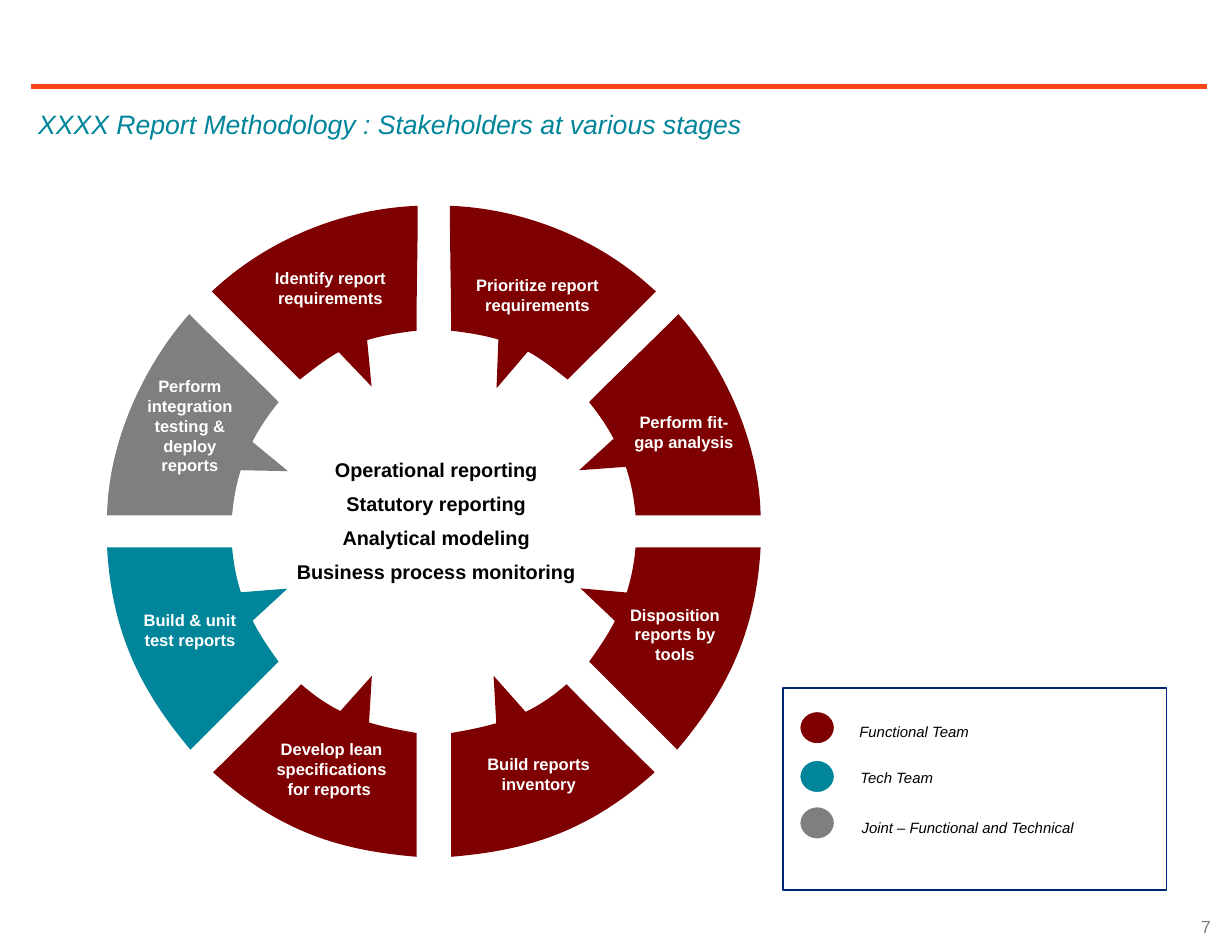
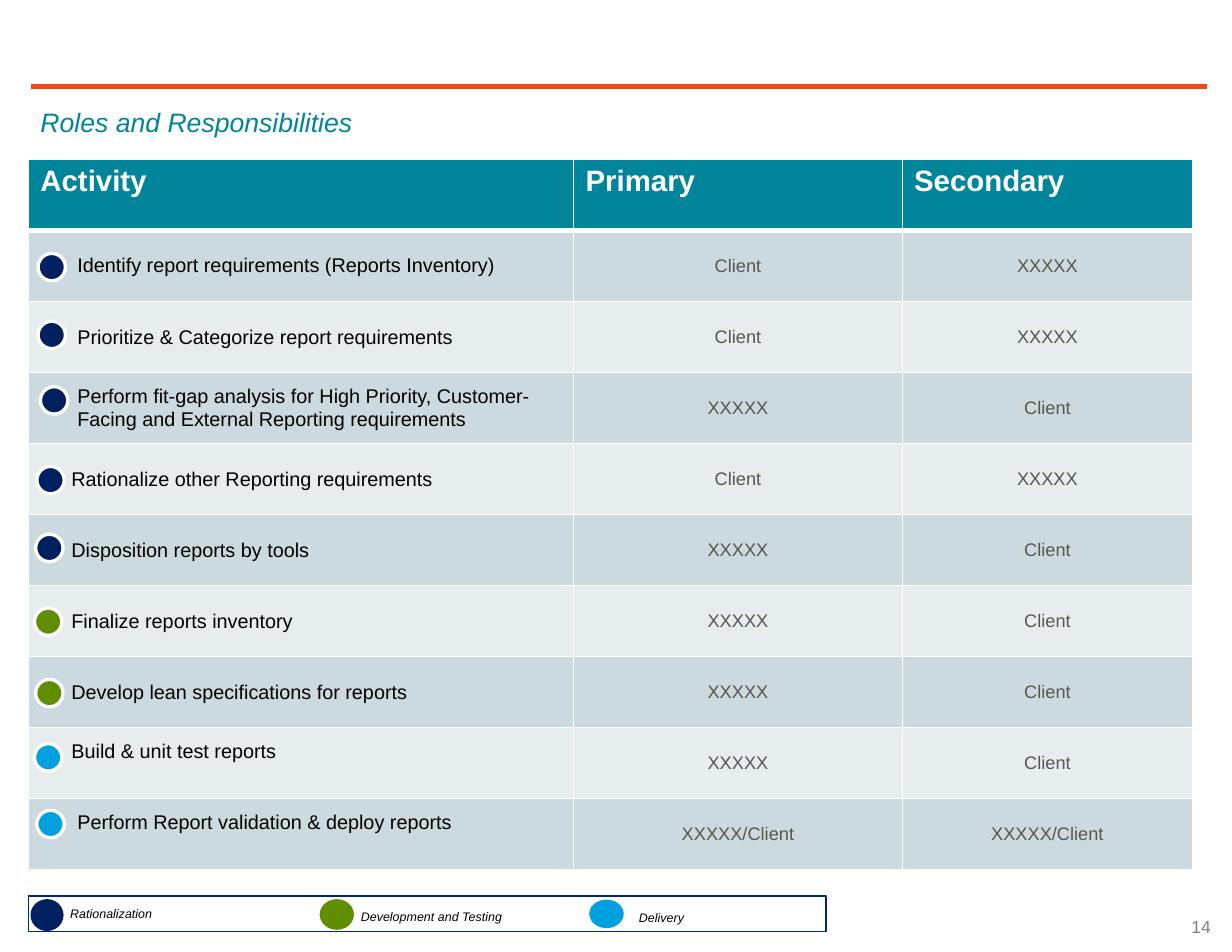
from lxml.etree import SubElement
from pptx import Presentation
from pptx.dml.color import RGBColor
from pptx.enum.shapes import MSO_CONNECTOR, MSO_SHAPE
from pptx.enum.text import MSO_ANCHOR as ANCHOR, MSO_AUTO_SIZE as AUTO, PP_ALIGN as ALIGN
from pptx.oxml.ns import qn
from pptx.util import Inches, Pt

FONT = "Arial"
TEAL = RGBColor(0x00, 0x85, 0x9B)
ORANGE = RGBColor(0xFA, 0x46, 0x16)
MAROON = RGBColor(0x7F, 0x00, 0x00)
GREY = RGBColor(0x7F, 0x7F, 0x7F)
PAGE_GREY = RGBColor(0x80, 0x80, 0x80)
CELL_GREY = RGBColor(0x57, 0x57, 0x4F)
NAVY = RGBColor(0x00, 0x20, 0x60)
FRAME_BLUE = RGBColor(0x00, 0x27, 0x76)
GREEN = RGBColor(0x61, 0x8D, 0x00)
SKY = RGBColor(0x00, 0xA1, 0xDE)
BAND_DARK = RGBColor(0xCC, 0xD9, 0xDE)
BAND_LIGHT = RGBColor(0xE7, 0xED, 0xEF)
WHITE = RGBColor(0xFF, 0xFF, 0xFF)
BLACK = RGBColor(0x00, 0x00, 0x00)

DEFAULT_INSET = (0.1, 0.05, 0.1, 0.05)
NO_INSET = (0, 0, 0, 0)
TITLE_ONLY = 5

# Right half of the wheel: outline start, then lines (x, y) and curves (three points).
SEGMENTS = [
    [(3.78, 1.73), (4.34, 1.75, 5, 1.97, 5.51, 2.45), (4.77, 3.19),
     (4.5, 2.98, 4.34, 2.84, 3.79, 2.78), (3.79, 2.43, 3.78, 2.08, 3.78, 1.73)],
    [(5.7, 2.64), (5.45, 2.89, 4.95, 3.37, 4.95, 3.38),
     (5.2, 3.69, 5.31, 3.98, 5.34, 4.33), (6.39, 4.33),
     (6.38, 3.71, 6.08, 3.07, 5.7, 2.64)],
    [(5.34, 4.6), (6.39, 4.6), (6.35, 5.37, 6.06, 5.86, 5.69, 6.3),
     (4.95, 5.56), (5.13, 5.31, 5.3, 5.05, 5.34, 4.6)],
    [(4.76, 5.75), (5, 6, 5.5, 6.49, 5.5, 6.49),
     (4.9, 7.03, 4.36, 7.15, 3.79, 7.2), (3.79, 6.16),
     (4.13, 6.1, 4.43, 6.04, 4.76, 5.75)],
]
MIRROR_SUM = 7.29  # x of a point plus x of its mirror image
RIGHT_COLORS = [MAROON] * 4
LEFT_COLORS = [MAROON, GREY, TEAL, MAROON]
POINTER_SIZE = (0.34, 0.49)
# Clockwise from the top right: left, top, rotation
POINTERS = [
    (4.09, 2.79, 201.3), (4.92, 3.61, 246.7), (4.93, 4.8, 294.3), (4.07, 5.66, 337.6),
    (2.86, 5.66, 22.6), (2.02, 4.8, 66.4), (2.02, 3.63, 110.3), (2.85, 2.78, 155.4),
]
STAGE_LABELS = [
    ("Identify report requirements", (2.21, 2.25, 1.13, 0.34)),
    ("Prioritize report requirements", (3.95, 2.31, 1.13, 0.34)),
    ("Perform fit-gap analysis", (5.32, 3.46, 0.85, 0.34)),
    ("Disposition reports by tools", (5.21, 5.08, 0.92, 0.5)),
    ("Build reports inventory", (3.96, 6.34, 1.13, 0.34)),
    ("Build & unit test reports", (1.15, 5.13, 0.89, 0.34)),
    ("Perform integration testing & deploy reports", (1.16, 3.16, 0.87, 0.84)),
    ("Develop lean specifications for reports ", (2.22, 6.21, 1.13, 0.5)),
]
REPORT_KINDS = ["Operational reporting", "Statutory reporting",
                "Analytical modeling", "Business process monitoring"]

# Activity, primary, secondary, text indent, phase colour, dot left, dot top
ACTIVITIES = [
    ("Identify report requirements (Reports Inventory)",
     "Client", "XXXXX", 0.37, NAVY, 0.32, 2.13),
    ("Prioritize & Categorize report requirements",
     "Client", "XXXXX", 0.37, NAVY, 0.32, 2.7),
    ("Perform fit-gap analysis for High Priority, Customer-Facing and "
     "External Reporting requirements", "XXXXX", "Client", 0.37, NAVY, 0.34, 3.25),
    ("Rationalize other Reporting requirements",
     "Client", "XXXXX", 0.32, NAVY, 0.31, 3.92),
    ("Disposition reports by tools", "XXXXX", "Client", 0.32, NAVY, 0.3, 4.49),
    ("Finalize reports inventory", "XXXXX", "Client", 0.32, GREEN, 0.29, 5.11),
    ("Develop lean specifications for reports",
     "XXXXX", "Client", 0.32, GREEN, 0.3, 5.71),
    ("Build & unit test reports", "XXXXX", "Client", 0.32, SKY, 0.29, 6.25),
    ("Perform Report validation & deploy reports",
     "XXXXX/Client", "XXXXX/Client", 0.37, SKY, 0.31, 6.81),
]
SPACED_ROWS = (1, 3)      # activity text has space before it
LOOSE_ROWS = (2, 4, 5, 6)  # activity text has wider lines
RAISED_ROWS = (8, 9)      # activity text sits above the middle


def inches(values):
    return [Inches(value) for value in values]


def add_run(paragraph, text, size, color, bold=False, italic=False):
    run = paragraph.add_run()
    run.text = text
    font = run.font
    font.name, font.size, font.bold, font.italic = FONT, Pt(size), bold, italic
    font.color.rgb = color


def set_insets(holder, inset):
    (holder.margin_left, holder.margin_top,
     holder.margin_right, holder.margin_bottom) = inches(inset)


def add_text(shapes, box, lines, size, color=BLACK, bold=False, italic=False,
             align=ALIGN.LEFT, anchor=ANCHOR.TOP, inset=NO_INSET,
             after=0, spacing=1.0, wrap=True):
    """Add a text box; one anchored at the top grows with its text."""
    frame = shapes.add_textbox(*inches(box)).text_frame
    frame.word_wrap = wrap
    frame.vertical_anchor = anchor
    frame.auto_size = AUTO.SHAPE_TO_FIT_TEXT if anchor == ANCHOR.TOP else AUTO.NONE
    set_insets(frame, inset)
    for index, line in enumerate(lines):
        paragraph = frame.add_paragraph() if index else frame.paragraphs[0]
        paragraph.alignment = align
        paragraph.space_after = Pt(after)
        paragraph.line_spacing = spacing
        add_run(paragraph, line, size, color, bold, italic)


def paint(shape, fill=None, line=None, width=1):
    shape.shadow.inherit = False
    if fill is None:
        shape.fill.background()
    else:
        shape.fill.solid()
        shape.fill.fore_color.rgb = fill
    if line is None:
        shape.line.fill.background()
    else:
        shape.line.color.rgb = line
        shape.line.width = Pt(width)


def add_preset(shapes, kind, box, fill=None, line=None, width=1):
    shape = shapes.add_shape(kind, *inches(box))
    paint(shape, fill, line, width)
    return shape


def add_dot(shapes, box, fill, line=WHITE):
    add_preset(shapes, MSO_SHAPE.OVAL, box, fill, line, 2)


def add_layout_rule(slide):
    """Draw the orange rule and move it to the layout that the slides share."""
    rule = slide.shapes.add_connector(
        MSO_CONNECTOR.STRAIGHT, *inches((0.26, 0.73, 10.14, 0.73)))
    rule.line.color.rgb = ORANGE
    rule.line.width = Pt(3)
    SubElement(rule._element.spPr, qn("a:effectLst"))
    rule._element.nvCxnSpPr.cNvPr.set("id", "20")
    slide.slide_layout.shapes.element.insert_element_before(rule._element, "p:extLst")


def add_page(prs, title_text, title_at, number):
    slide = prs.slides.add_slide(prs.slide_layouts[TITLE_ONLY])
    title = slide.shapes.title
    title.left, title.top, title.width, title.height = inches((*title_at, 9.88, 0.44))
    frame = title.text_frame
    frame.auto_size = AUTO.NONE
    frame.vertical_anchor = ANCHOR.TOP
    set_insets(frame, DEFAULT_INSET)
    heading = frame.paragraphs[0]
    heading.alignment = ALIGN.LEFT
    heading.line_spacing = 1.2
    add_run(heading, title_text, 16.1, TEAL, italic=True)

    add_text(slide.shapes, (7.94, 7.57, 2.33, 0.43), [number], 10.6, PAGE_GREY,
             align=ALIGN.RIGHT, anchor=ANCHOR.MIDDLE, inset=DEFAULT_INSET)
    return slide


def add_segment(shapes, outline, color, mirrored):
    """Draw an outline through all its points, then bend the triples into curves."""
    corners = []
    for piece in outline:
        for x, y in zip(piece[::2], piece[1::2]):
            corners.append(tuple(inches((MIRROR_SUM - x if mirrored else x, y))))
    builder = shapes.build_freeform(*corners[0], scale=1.0)
    builder.add_line_segments(corners[1:], close=True)
    segment = builder.convert_to_shape()
    lines = iter(segment._element.findall(".//" + qn("a:lnTo")))
    for piece in outline[1:]:
        first = next(lines)
        if len(piece) == 6:
            first.tag = qn("a:cubicBezTo")
            for line in (next(lines), next(lines)):
                first.append(line[0])
                line.getparent().remove(line)
    paint(segment, color)


def add_wheel(shapes):
    for colors, mirrored in ((RIGHT_COLORS, False), (LEFT_COLORS, True)):
        for outline, color in zip(SEGMENTS, colors):
            add_segment(shapes, outline, color, mirrored)
    for (x, y, turn), color in zip(POINTERS, RIGHT_COLORS + LEFT_COLORS[::-1]):
        pointer = add_preset(shapes, MSO_SHAPE.ISOSCELES_TRIANGLE,
                             (x, y, *POINTER_SIZE), color)
        pointer.rotation = turn
    add_text(shapes, (2.24, 3.85, 2.85, 1.06), REPORT_KINDS, 12, bold=True,
             align=ALIGN.CENTER, after=6)
    for label, box in STAGE_LABELS:
        add_text(shapes, box, [label], 10, WHITE, bold=True, align=ALIGN.CENTER)


def add_team_legend(slide):
    legend = slide.shapes.add_group_shape().shapes
    add_text(legend, (7.22, 6.07, 1.57, 0.14), ["Functional Team"], 9, italic=True,
             anchor=ANCHOR.MIDDLE, spacing=1.06)
    add_preset(legend, MSO_SHAPE.RECTANGLE, (6.58, 5.78, 3.22, 1.7), line=FRAME_BLUE)
    for team, box in (("Tech Team", (7.13, 6.4, 1.85, 0.15)),
                      ("Joint – Functional and Technical", (7.14, 6.82, 2.06, 0.15))):
        add_text(legend, box, [team], 9, italic=True, inset=DEFAULT_INSET, spacing=1.06)
    for color, top in ((TEAL, 6.38), (GREY, 6.77), (MAROON, 5.97)):
        add_dot(slide.shapes, (6.71, top, 0.31, 0.29), color)


def set_borders(cell, bottom_width):
    properties = cell._tc.get_or_add_tcPr()
    for side, width in (("L", 1), ("R", 1), ("T", 1), ("B", bottom_width)):
        border = SubElement(properties, qn(f"a:ln{side}"), w=str(Pt(width)))
        fill = SubElement(border, qn("a:solidFill"))
        SubElement(fill, qn("a:srgbClr"), val=str(WHITE))


def fill_cell(cell, text, size, color, fill, bold=False, bottom_width=1):
    set_borders(cell, bottom_width)
    cell.fill.solid()
    cell.fill.fore_color.rgb = fill
    paragraph = cell.text_frame.paragraphs[0]
    add_run(paragraph, text, size, color, bold)
    return paragraph


def add_roles_table(shapes):
    table = shapes.add_table(
        len(ACTIVITIES) + 1, 3, *inches((0.24, 1.34, 9.78, 5.97))).table
    for column, width in zip(table.columns, (4.58, 2.76, 2.44)):
        column.width = Inches(width)
    for index, heading in enumerate(("Activity", "Primary", "Secondary")):
        fill_cell(table.cell(0, index), heading, 17.8, WHITE, TEAL, True, 3)
    for row, (activity, *owners, indent, phase, dot_x, dot_y) in enumerate(ACTIVITIES, 1):
        band = BAND_DARK if row % 2 else BAND_LIGHT
        for column, text in enumerate((activity, *owners)):
            cell = table.cell(row, column)
            cell.vertical_anchor = ANCHOR.MIDDLE
            set_insets(cell, (0.04, 0, 0.04, 0))
            size, color = (11, CELL_GREY) if column else (12, BLACK)
            paragraph = fill_cell(cell, text, size, color, band)
            if column or row in SPACED_ROWS:
                paragraph.space_before = Pt(3)
            if column:
                paragraph.alignment = ALIGN.CENTER
                continue
            paragraph._p.get_or_add_pPr().set("marL", str(Inches(indent)))
            if row in LOOSE_ROWS:
                paragraph.line_spacing = 1.06
            if row in RAISED_ROWS:
                cell.margin_bottom = Inches(0.2)
        add_dot(shapes, (dot_x, dot_y, 0.23, 0.23), phase)


def add_phase_legend(shapes):
    add_text(shapes, (0.36, 7.57, 2.45, 0.21), ["Rationalization"], 7.5, italic=True,
             anchor=ANCHOR.MIDDLE, inset=(0.23, 0, 0, 0), spacing=1.06)
    add_dot(shapes, (0.27, 7.57, 0.25, 0.24), NAVY, NAVY)
    add_dot(shapes, (2.7, 7.57, 0.26, 0.23), GREEN, GREEN)
    add_preset(shapes, MSO_SHAPE.RECTANGLE, (0.24, 7.53, 6.7, 0.3), line=FRAME_BLUE)
    add_text(shapes, (2.85, 7.59, 1.55, 0.23), ["Development and Testing"], 7.5,
             italic=True, align=ALIGN.CENTER, inset=DEFAULT_INSET, wrap=False)
    add_text(shapes, (5.27, 7.59, 0.63, 0.22), ["Delivery"], 7.5, italic=True,
             inset=DEFAULT_INSET, spacing=1.06, wrap=False)
    add_dot(shapes, (4.95, 7.56, 0.29, 0.24), SKY, None)


def main():
    prs = Presentation()
    prs.slide_width, prs.slide_height = inches((10.35, 8))

    methodology = add_page(
        prs, "XXXX Report Methodology : Stakeholders at various stages", (0.22, 0.8), "7")
    add_layout_rule(methodology)
    add_wheel(methodology.shapes.add_group_shape().shapes)
    add_team_legend(methodology)

    roles = add_page(prs, "Roles and Responsibilities", (0.24, 0.79), "14")
    add_roles_table(roles.shapes)
    add_phase_legend(roles.shapes.add_group_shape().shapes)

    prs.save("out.pptx")


if __name__ == "__main__":
    main()
